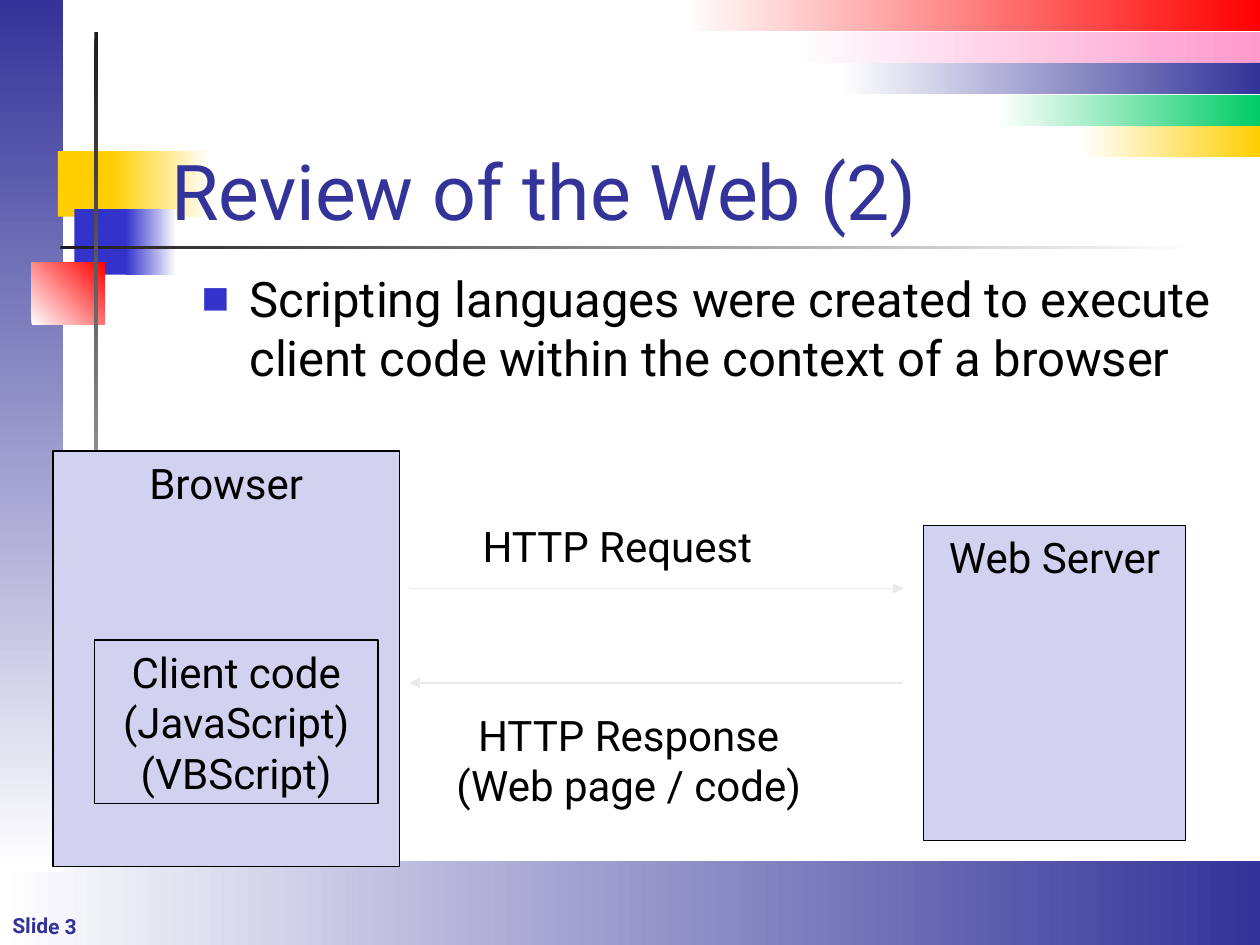
from lxml import etree
from pptx import Presentation
from pptx.dml.color import RGBColor
from pptx.enum.shapes import MSO_CONNECTOR, MSO_SHAPE
from pptx.enum.text import MSO_ANCHOR, MSO_AUTO_SIZE, PP_ALIGN
from pptx.oxml.ns import qn
from pptx.util import Pt

PX = 9144
FONT = "Roboto"
RECT, LINE = MSO_SHAPE.RECTANGLE, MSO_CONNECTOR.STRAIGHT
TOP, BOTTOM = MSO_ANCHOR.TOP, MSO_ANCHOR.BOTTOM
LEFT, CENTER = PP_ALIGN.LEFT, PP_ALIGN.CENTER
HUES = {
    "white": "FFFFFF", "black": "000000", "navy": "333399", "blue": "3333CC",
    "gold": "FFCF01", "red": "FF0000", "green": "00CC66", "pink": "FF99CC",
    "ink": "1C1C1C", "pale": "D1D1F0", "gray": "EAEAEA",
}


def hue(name):
    """Return the named colour."""
    return RGBColor.from_string(HUES[name])


def emu(*vals):
    """Turn px lengths into EMU."""
    return [val * PX for val in vals]


def write(frame, lines, size, color="black", align=CENTER, anchor=TOP, bold=False):
    """Write lines as runs of one paragraph and return it."""
    frame.vertical_anchor = anchor
    para = frame.paragraphs[0]
    para.alignment = align
    for i, line in enumerate(lines):
        if i:
            para.add_line_break()
        run = para.add_run()
        run.text = line
        font = run.font
        font.name, font.size, font.bold = FONT, Pt(size), bold
        font.color.rgb = hue(color)
    return para


def block(slide, box, fill=None, line=None):
    """Add a plain rectangle."""
    shape = slide.shapes.add_shape(RECT, *emu(*box))
    shape.shadow.inherit = False
    if fill:
        shape.fill.solid()
        shape.fill.fore_color.rgb = hue(fill)
    else:
        shape.fill.background()
    if line:
        shape.line.color.rgb = hue(line)
        shape.line.width = Pt(0.75)
    else:
        shape.line.fill.background()
    return shape


def fade(slide, box, start, end, angle=0):
    """Add a rectangle that blends two colours."""
    fill = block(slide, box).fill
    fill.gradient()
    fill.gradient_angle = angle
    for stop, name, pos in zip(fill.gradient_stops, (start, end), (0, 1)):
        stop.color.rgb = hue(name)
        stop.position = pos


def label(slide, box, lines, size=24, wrap=False, **style):
    """Add a text box."""
    shape = slide.shapes.add_textbox(*emu(*box))
    shape.text_frame.word_wrap = wrap
    write(shape.text_frame, lines, size, **style)
    return shape


def panel(slide, box, lines, fill=None):
    """Add an outlined box with centred text at its top."""
    frame = block(slide, box, fill, "black").text_frame
    frame.word_wrap = True
    write(frame, lines, 24)


def arrow(slide, start, end, tip):
    """Add a line with one arrowhead."""
    line = slide.shapes.add_connector(LINE, *emu(*start, *end))
    line.line.color.rgb = hue("gray")
    line.line.width = Pt(1)
    props = line._element.spPr
    etree.SubElement(props.find(qn("a:ln")), qn(tip), type="triangle")
    etree.SubElement(props, qn("a:effectLst"))


def edges(slide, box):
    """Draw the side, bottom and corner bands."""
    x, y, w, h = box
    fade(slide, (x, y + h - 67, w, 67), "white", "navy")
    fade(slide, (x, y, 50, h - 58), "navy", "white", 270)
    bands = [("red", 458), ("pink", 375), ("navy", 333), ("green", 208), ("gold", 142)]
    for i, (name, wide) in enumerate(bands):
        fade(slide, (x + w - wide, y + 25 * i, wide, 25), "white", name)


def motif(slide, box):
    """Draw the squares and crossing rules by the title."""
    x, y, w, h = box
    block(slide, (x + 21, y + 95, 48, 52), "gold")
    fade(slide, (x + 63, y + 95, 79, 52), "gold", "white")
    block(slide, (x + 34, y + 141, 46, 52), "blue")
    fade(slide, (x + 75, y + 141, 40, 52), "blue", "white")
    fade(slide, (x + 23, y + 170, w - 23, 3), "ink", "white")
    fade(slide, (x, y + 183, 58, 50), "white", "red", 45)
    fade(slide, (x + 50, y, 3, h), "ink", "white", 270)


def place(slide, holder, box):
    """Move a placeholder to a box and to the front; return its text frame."""
    holder.left, holder.top, holder.width, holder.height = emu(*box)
    slide.shapes._spTree.append(holder._element)
    frame = holder.text_frame
    frame.auto_size = MSO_AUTO_SIZE.NONE
    frame.word_wrap = True
    return frame


def bullet(para):
    """Give a paragraph a small square bullet."""
    props = para._p.get_or_add_pPr()
    props.set("marL", str(38 * PX))
    props.set("indent", str(-38 * PX))
    tint = etree.SubElement(props, qn("a:buClr"))
    etree.SubElement(tint, qn("a:srgbClr"), val=HUES["blue"])
    etree.SubElement(props, qn("a:buSzPct"), val="60000")
    etree.SubElement(props, qn("a:buFont"), typeface=FONT)
    etree.SubElement(props, qn("a:buChar"), char="■")
    para.space_before = Pt(0)


def words(slide, box):
    """Fill the title and the list."""
    x, y, w, h = box
    title = place(slide, slide.shapes.title, (x, y, w - 22, 125))
    write(title, ["Review of the Web (2)"], 44, "navy", LEFT, BOTTOM)
    body = place(slide, slide.placeholders[1], (x + 24, y + 141, w - 24, h - 141))
    text = "Scripting languages were created to execute client code within the context of a browser"
    bullet(write(body, [text], 28, align=LEFT))


def flow(slide, box):
    """Draw the browser, the server and the messages between them."""
    x, y, w, h = box
    panel(slide, (x, y, 275, h), ["Browser"], "pale")
    panel(slide, (x + w - 208, y + 59, 208, 250), ["Web Server"], "pale")
    for down, tip in ((109, "a:tailEnd"), (184, "a:headEnd")):
        arrow(slide, (x + 283, y + down), (x + 675, y + down), tip)
    label(slide, (x + 329, y + 50, 238, 50), ["HTTP Request"])
    label(slide, (x + 306, y + 200, 302, 90), ["HTTP Response", "(Web page / code)"])
    panel(slide, (x + 33, y + 150, 225, 130), ["Client code (JavaScript)", "(VBScript)"])


def main():
    """Build and save the deck."""
    deck = Presentation()
    deck.slide_width, deck.slide_height = emu(1000, 750)
    slide = deck.slides.add_slide(deck.slide_layouts[1])
    edges(slide, (0, 0, 1000, 750))
    note = label(slide, (0, 720, 117, 33), ["Slide 3"], 12, True,
                 color="navy", align=LEFT, bold=True)
    note.rotation = 0.7
    motif(slide, (25, 25, 923, 658))
    words(slide, (126, 67, 874, 591))
    flow(slide, (42, 358, 899, 330))
    deck.save("out.pptx")


if __name__ == "__main__":
    main()
